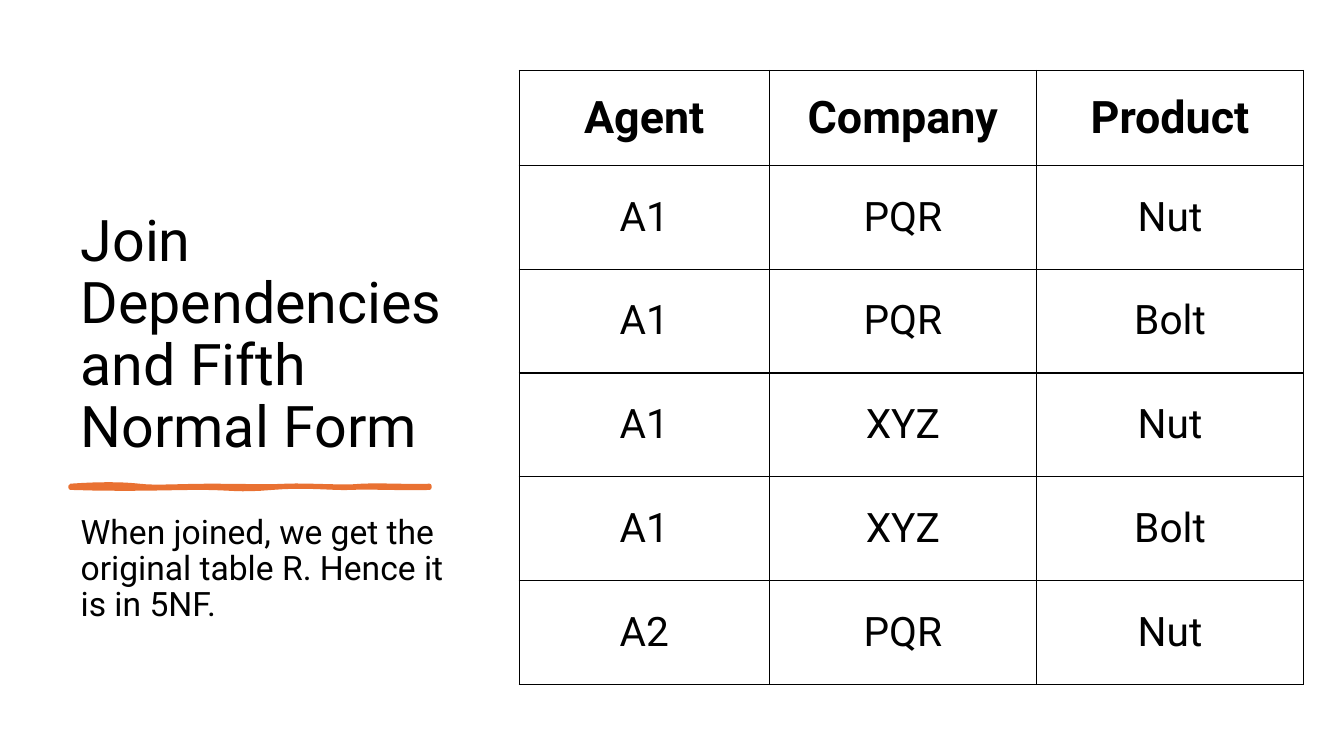
from lxml.etree import SubElement
from pptx import Presentation
from pptx.dml.color import RGBColor
from pptx.enum.text import MSO_ANCHOR, MSO_AUTO_SIZE, PP_ALIGN
from pptx.oxml.ns import qn
from pptx.util import Inches, Pt

FONT = "Roboto"
COLORS = {"text": "000000", "border": "000000", "accent": "E97132"}

TITLE = "Join Dependencies and Fifth Normal Form"
CONCLUSION = "When joined, we get the original table R. Hence it is in 5NF."
RELATION = [
    ("Agent", "Company", "Product"),
    ("A1", "PQR", "Nut"),
    ("A1", "PQR", "Bolt"),
    ("A1", "XYZ", "Nut"),
    ("A1", "XYZ", "Bolt"),
    ("A2", "PQR", "Nut"),
]
COLUMN_WIDTHS = (2.48, 2.65, 2.65)
HEADER_HEIGHT, ROW_HEIGHT = 0.94, 1.03

STROKE_START = (0.7, 4.82)
# Each curve: two control points, then the end point
STROKE_CURVES = [
    ((0.97, 4.8), (1.21, 4.8), (1.38, 4.82)),
    ((1.55, 4.84), (1.77, 4.82), (2.09, 4.82)),
    ((2.41, 4.82), (2.6, 4.83), (2.84, 4.82)),
    ((3.08, 4.81), (3.39, 4.84), (3.59, 4.82)),
    ((3.79, 4.81), (4.12, 4.83), (4.26, 4.82)),
    ((4.26, 4.83), (4.26, 4.84), (4.26, 4.84)),
    ((4.08, 4.85), (3.64, 4.83), (3.48, 4.84)),
    ((3.32, 4.85), (3.04, 4.81), (2.7, 4.84)),
    ((2.35, 4.87), (2.31, 4.84), (1.99, 4.84)),
    ((1.66, 4.84), (1.32, 4.86), (0.7, 4.84)),
]
STEPS_PER_CURVE = 8


def color(name):
    return RGBColor.from_string(COLORS[name])


def add_run(paragraph, text, size, bold=False):
    run = paragraph.add_run()
    run.text = text
    run.font.name = FONT
    run.font.size = Pt(size)
    run.font.bold = bold
    run.font.color.rgb = color("text")


def fill_placeholder(placeholder, box, text, size, anchor):
    placeholder.left, placeholder.top, placeholder.width, placeholder.height = map(Inches, box)
    frame = placeholder.text_frame
    frame.word_wrap = True
    frame.auto_size = MSO_AUTO_SIZE.NONE
    frame.vertical_anchor = anchor
    paragraph = frame.paragraphs[0]
    properties = paragraph._p.get_or_add_pPr()
    properties.set("marL", "0")
    properties.set("indent", "0")
    SubElement(properties, qn("a:buNone"))
    paragraph.alignment = PP_ALIGN.LEFT
    paragraph.line_spacing = 0.9
    paragraph.space_before = Pt(0)
    add_run(paragraph, text, size)


def curve_points(start, curves):
    """Sample a chain of cubic Bézier curves."""
    points = []
    for first, second, end in curves:
        for step in range(1, STEPS_PER_CURVE + 1):
            t = step / STEPS_PER_CURVE
            weights = ((1 - t) ** 3, 3 * t * (1 - t) ** 2, 3 * t ** 2 * (1 - t), t ** 3)
            corners = (start, first, second, end)
            points.append(tuple(
                Inches(sum(w * corner[axis] for w, corner in zip(weights, corners)))
                for axis in (0, 1)
            ))
        start = end
    return points


def add_brush_stroke(slide):
    builder = slide.shapes.build_freeform(*map(Inches, STROKE_START))
    builder.add_line_segments(curve_points(STROKE_START, STROKE_CURVES), close=True)
    stroke = builder.convert_to_shape()
    stroke.shadow.inherit = False
    stroke.fill.solid()
    stroke.fill.fore_color.rgb = color("accent")
    stroke.line.color.rgb = color("accent")
    stroke.line.width = Pt(3)


def add_borders(cell):
    properties = cell._tc.get_or_add_tcPr()
    for side in ("lnL", "lnR", "lnT", "lnB"):
        line = SubElement(properties, qn(f"a:{side}"), w=str(Pt(1)))
        fill = SubElement(line, qn("a:solidFill"))
        SubElement(fill, qn("a:srgbClr"), val=COLORS["border"])


def format_cell(cell, text, is_header):
    add_borders(cell)
    cell.fill.background()
    cell.vertical_anchor = MSO_ANCHOR.MIDDLE
    cell.margin_left = cell.margin_right = Inches(0.17)
    cell.margin_top = cell.margin_bottom = Inches(0.17 if is_header else 0.24)
    paragraph = cell.text_frame.paragraphs[0]
    paragraph.alignment = PP_ALIGN.CENTER
    add_run(paragraph, text, 32 if is_header else 29, is_header)


def add_relation_table(slide):
    heights = [HEADER_HEIGHT] + [ROW_HEIGHT] * (len(RELATION) - 1)
    table = slide.shapes.add_table(
        len(RELATION), len(COLUMN_WIDTHS), Inches(5.15), Inches(0.7),
        Inches(sum(COLUMN_WIDTHS)), Inches(sum(heights)),
    ).table
    table.horz_banding = False
    for column, width in zip(table.columns, COLUMN_WIDTHS):
        column.width = Inches(width)
    for index, (row, height, values) in enumerate(zip(table.rows, heights, RELATION)):
        row.height = Inches(height)
        for cell, value in zip(row.cells, values):
            format_cell(cell, value, index == 0)
    table.cell(0, 0).margin_left = table.cell(0, 0).margin_right = Inches(0.07)


def main():
    presentation = Presentation()
    presentation.slide_width = Inches(13.33)
    presentation.slide_height = Inches(7.5)
    slide = presentation.slides.add_slide(presentation.slide_layouts[1])
    title, body = slide.placeholders
    fill_placeholder(title, (0.7, 0.7, 3.91, 3.91), TITLE, 41, MSO_ANCHOR.BOTTOM)
    fill_placeholder(body, (0.7, 5.06, 3.91, 1.71), CONCLUSION, 24, MSO_ANCHOR.TOP)
    add_brush_stroke(slide)
    add_relation_table(slide)
    presentation.save("out.pptx")


if __name__ == "__main__":
    main()
